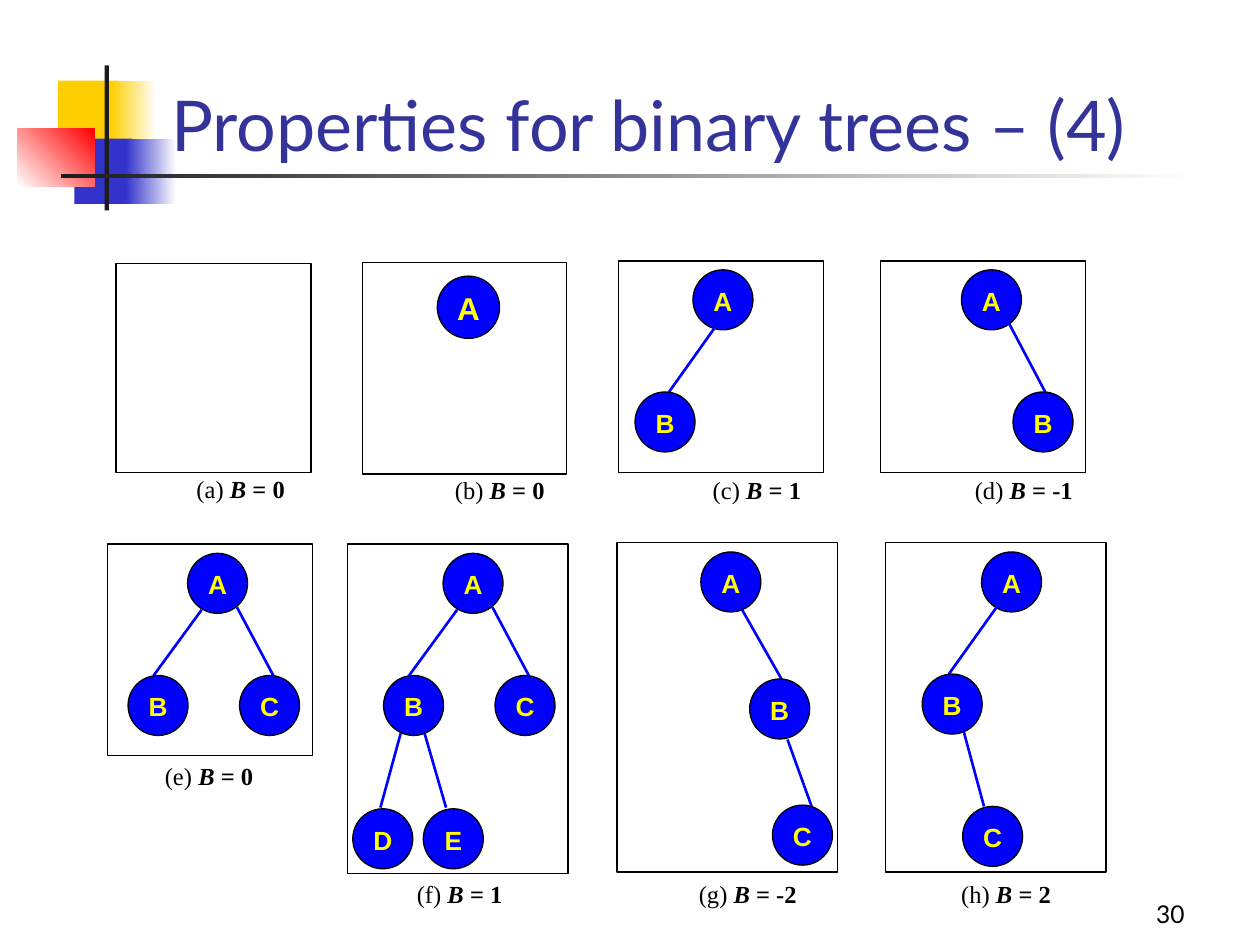
from lxml.etree import SubElement
from pptx import Presentation
from pptx.dml.color import RGBColor
from pptx.enum.shapes import MSO_CONNECTOR, MSO_SHAPE
from pptx.enum.text import MSO_ANCHOR, MSO_AUTO_SIZE, PP_ALIGN
from pptx.oxml.ns import qn
from pptx.util import Pt

BLUE, YELLOW, BLACK, WHITE = "0000FF", "FFFF00", "000000", "FFFFFF"
NODE = 34.3

# Left, top, width, height, fill (two colours make a gradient), angle
ORNAMENT = [
    (33.1, 46.1, 34.6, 37.4, ["FFCF01"], 0),
    (63.4, 46.1, 25.9, 37.4, ["FFCF01", WHITE], 0),
    (42.5, 79.2, 33.1, 37.4, ["3333CC"], 0),
    (72, 79.2, 28.8, 37.4, ["3333CC", WHITE], 0),
    (10, 73.4, 44, 33.2, [WHITE, "FF0000"], 45),
    (59.8, 37.4, 2.4, 82.8, ["1C1C1C"], 0),
    (34.6, 99.4, 648, 2.4, ["1C1C1C", WHITE], 0),
]

# Letter, left, top, then the edge from the parent (x1, y1, x2, y2)
FULL_TREE = [
    ("A", 107.2, 316.2, None),
    ("B", 73.2, 386, (115.2, 348.5, 87.8, 386)),
    ("C", 136.9, 386, (135.4, 347, 156.2, 386)),
]
SHIFT = 146


def shifted(nodes, dx):
    return [(letter, x + dx, y, edge and (edge[0] + dx, edge[1], edge[2] + dx, edge[3]))
            for letter, x, y, edge in nodes]


# Frame, caption box (left, top, width), letter, balance value, nodes
TREES = [
    ((66.3, 150.4, 111.4, 119.6), (105.2, 267.3, 65), "a", "0", []),
    ((207.3, 149.8, 116.5, 121), (252.9, 267.8, 66), "b", "0", []),
    ((353.3, 149.2, 117.4, 121), (400.2, 267.8, 65), "c", "1", [
        ("A", 396, 154.2, None),
        ("B", 362.9, 224, (409, 186.5, 382.3, 224))]),
    ((503.1, 149.2, 117.4, 121), (550, 267.8, 72), "d", "-1", [
        ("A", 549.4, 154.2, None),
        ("B", 578.9, 224, (576.7, 185, 597.6, 224.6))]),
    ((61.4, 310.9, 117.4, 121), (87.1, 431.3, 65), "e", "0", FULL_TREE),
    ((198.6, 310.9, 126, 188.2), (231.1, 499, 64), "f", "1", shifted(FULL_TREE, SHIFT) + [
        ("D", 201.6, 462.2, (229, 419, 217.4, 461.5)),
        ("E", 241.9, 462.2, (242.6, 419, 254.9, 461.5))]),
    ((352.6, 310.2, 126, 188.2), (392.3, 499, 72), "g", "-2", [
        ("A", 400.5, 315.4, None),
        ("B", 428.4, 388, (424.1, 348.5, 447.8, 390.2)),
        ("C", 441.4, 460.1, (450, 422.6, 465.1, 464.4))]),
    ((506.1, 310.2, 126, 188.2), (542.2, 499, 69), "h", "2", [
        ("A", 560.9, 315.4, None),
        ("B", 527, 385.2, (569.5, 347, 542.2, 385.2)),
        ("C", 550.1, 460.8, (550.8, 418.3, 562.3, 460.8))]),
]


def rgb(value):
    return RGBColor.from_string(value)


def add_run(p, text, size, font, color=BLACK, bold=False, italic=False):
    r = p.add_run()
    r.text = text
    r.font.size, r.font.name = Pt(size), font
    r.font.bold, r.font.italic = bold, italic
    r.font.color.rgb = rgb(color)


def add_box(s, x, y, w, h, colors, angle=0, line=None, preset=MSO_SHAPE.RECTANGLE):
    sp = s.shapes.add_shape(preset, Pt(x), Pt(y), Pt(w), Pt(h))
    sp.shadow.inherit = False
    if len(colors) == 1:
        sp.fill.solid()
        sp.fill.fore_color.rgb = rgb(colors[0])
    else:
        sp.fill.gradient()
        sp.fill.gradient_angle = angle
        for stop, color, position in zip(sp.fill.gradient_stops, colors, (0, 1)):
            stop.color.rgb = rgb(color)
            stop.position = position
    if line:
        sp.line.color.rgb = rgb(line)
        sp.line.width = Pt(0.75)
    else:
        sp.line.fill.background()
    return sp


def add_text_box(s, x, y, w, h, anchor=MSO_ANCHOR.TOP, align=PP_ALIGN.LEFT, grow=False):
    """Add an empty text box and return its paragraph."""
    tf = s.shapes.add_textbox(Pt(x), Pt(y), Pt(w), Pt(h)).text_frame
    tf.word_wrap = not grow
    tf.auto_size = MSO_AUTO_SIZE.SHAPE_TO_FIT_TEXT if grow else MSO_AUTO_SIZE.NONE
    tf.vertical_anchor = anchor
    p = tf.paragraphs[0]
    p.alignment = align
    return p


def add_edge(s, x1, y1, x2, y2):
    line = s.shapes.add_connector(MSO_CONNECTOR.STRAIGHT, Pt(x1), Pt(y1), Pt(x2), Pt(y2))
    line.line.color.rgb = rgb(BLUE)
    line.line.width = Pt(1.5)
    SubElement(line._element.spPr, qn("a:effectLst"))


def add_node(s, letter, x, y, diameter=NODE, size=15):
    sp = add_box(s, x, y, diameter, diameter, [BLUE], line=BLACK,
                 preset=MSO_SHAPE.FLOWCHART_CONNECTOR)
    tf = sp.text_frame
    tf.word_wrap = False
    tf.margin_left = tf.margin_right = tf.margin_bottom = 0
    tf.margin_top = Pt(1)
    tf.vertical_anchor = MSO_ANCHOR.MIDDLE
    p = tf.paragraphs[0]
    p.alignment = PP_ALIGN.CENTER
    add_run(p, letter, size, "Arial", YELLOW, bold=True)


def add_caption(s, x, y, w, letter, balance):
    p = add_text_box(s, x, y, w, 24.4, grow=True)
    font = "Times New Roman"
    add_run(p, f"({letter}) ", 14, font)
    add_run(p, "B ", 14, font, bold=True, italic=True)
    add_run(p, f"= {balance}", 14, font, bold=True)


def add_tree(s, frame, caption, letter, balance, nodes):
    add_box(s, *frame, [WHITE], line=BLACK)
    for name, x, y, edge in nodes:
        if edge:
            add_edge(s, *edge)
        add_node(s, name, x, y)
    add_caption(s, *caption, letter, balance)


def main():
    prs = Presentation()
    prs.slide_width, prs.slide_height = Pt(720), Pt(540)
    s = prs.slides.add_slide(prs.slide_layouts[6])
    for x, y, w, h, colors, angle in ORNAMENT:
        add_box(s, x, y, w, h, colors, angle)
    p = add_text_box(s, 534.2, 498.2, 149.8, 36, MSO_ANCHOR.BOTTOM, PP_ALIGN.RIGHT)
    add_run(p, "30", 14, "Lato")
    p = add_text_box(s, 90.7, 7.9, 613.4, 90, MSO_ANCHOR.BOTTOM)
    add_run(p, "Properties for binary trees – (4)", 40, "Lato", "333399")
    for tree in TREES:
        add_tree(s, *tree)
    add_node(s, "A", 249.9, 157.8, diameter=35.6, size=18)
    prs.save("out.pptx")


if __name__ == "__main__":
    main()
